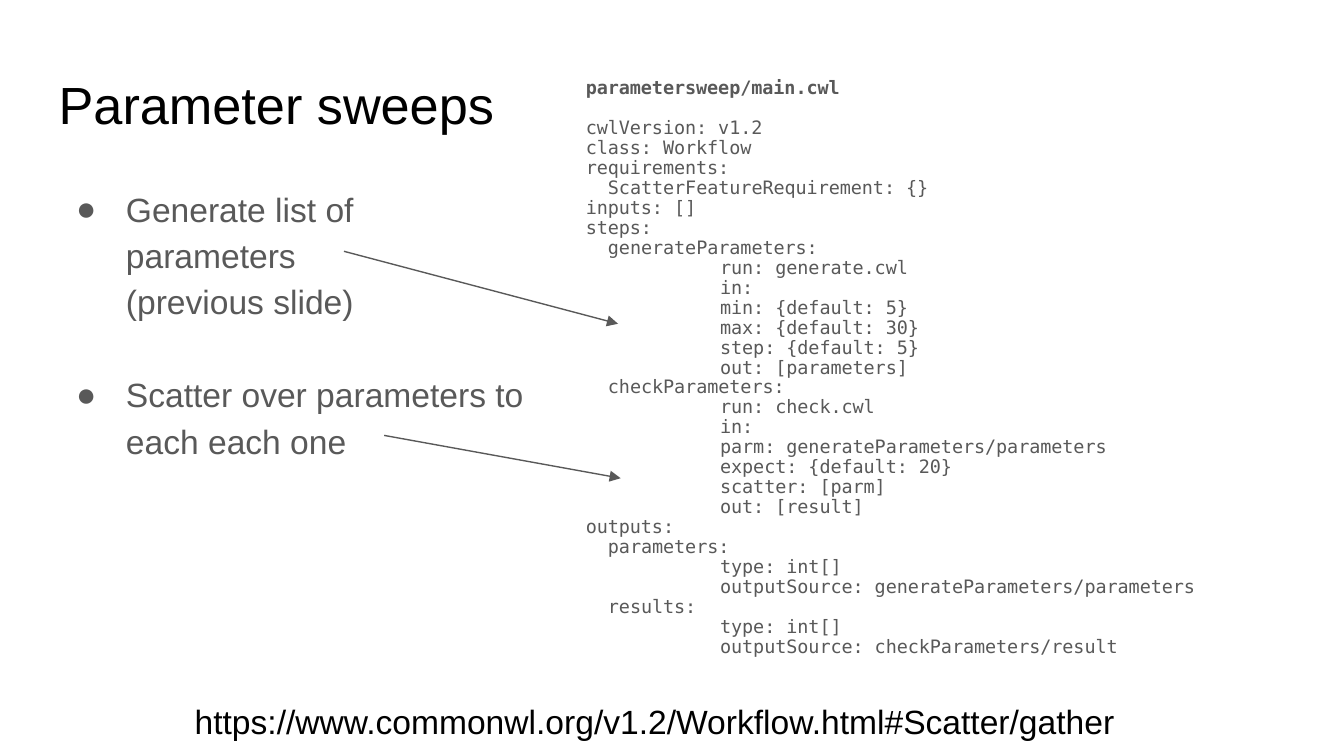
from dataclasses import dataclass

from lxml.etree import SubElement
from pptx import Presentation
from pptx.dml.color import RGBColor
from pptx.enum.shapes import MSO_CONNECTOR
from pptx.enum.text import MSO_ANCHOR, MSO_AUTO_SIZE, PP_ALIGN
from pptx.oxml.ns import qn
from pptx.util import Cm, Pt


@dataclass(frozen=True)
class Theme:
    black: str = "000000"
    gray: str = "595959"
    sans: str = "Arial"
    mono: str = "DejaVu Sans Mono"
    title: float = 28
    body: float = 18
    code: float = 9.9
    line: float = 0.75


POINTS = [
    "Generate list of parameters\v(previous slide)",
    "Scatter over parameters to each each one",
]

# Each code line with its indent level
CODE = [
    (0, "parametersweep/main.cwl"),
    (0, "cwlVersion: v1.2"),
    (0, "class: Workflow"),
    (0, "requirements:"),
    (1, "ScatterFeatureRequirement: {}"),
    (0, "inputs: []"),
    (0, "steps:"),
    (1, "generateParameters:"),
    (2, "run: generate.cwl"),
    (2, "in:"),
    (2, "min: {default: 5}"),
    (2, "max: {default: 30}"),
    (2, "step: {default: 5}"),
    (2, "out: [parameters]"),
    (1, "checkParameters:"),
    (2, "run: check.cwl"),
    (2, "in:"),
    (2, "parm: generateParameters/parameters"),
    (2, "expect: {default: 20}"),
    (2, "scatter: [parm]"),
    (2, "out: [result]"),
    (0, "outputs:"),
    (1, "parameters:"),
    (2, "type: int[]"),
    (2, "outputSource: generateParameters/parameters"),
    (1, "results:"),
    (2, "type: int[]"),
    (2, "outputSource: checkParameters/result"),
]
INDENTS = [0, 0.42, 2.54]

ARROWS = [
    ((6.5, 4.75), (11.68, 6.12)),
    ((7.26, 8.23), (11.73, 9.04)),
]


class Deck:
    def __init__(self, theme):
        self.theme = theme
        self.show = Presentation()
        self.show.slide_width, self.show.slide_height = Cm(25.4), Cm(14.29)
        self.slide = self.show.slides.add_slide(self.show.slide_layouts[3])

    def fill(self, shape, box, lines, font, size, color, space=1.0):
        """Place a shape, write its lines and return the paragraphs."""
        shape.left, shape.top, shape.width, shape.height = map(Cm, box)
        frame = shape.text_frame
        frame.text = "\n".join(lines)
        frame.word_wrap = True
        frame.auto_size = MSO_AUTO_SIZE.NONE
        frame.vertical_anchor = MSO_ANCHOR.TOP
        frame.margin_left = frame.margin_right = Cm(0.25)
        frame.margin_top = frame.margin_bottom = Cm(0.25)
        for para in frame.paragraphs:
            para.alignment = PP_ALIGN.LEFT
            para.line_spacing = space
            para.space_before = para.space_after = Pt(0)
            for run in para.runs:
                run.font.name = font
                run.font.size = Pt(size)
                run.font.color.rgb = RGBColor.from_string(color)
        return frame.paragraphs

    def indent(self, para, left, hang=0, mark=None):
        """Set the indent in centimetres and the bullet, if any."""
        props = para._p.get_or_add_pPr()
        props.set("marL", str(Cm(left)))
        props.set("indent", str(-Cm(hang)))
        if mark:
            tint = SubElement(props, qn("a:buClr"))
            SubElement(tint, qn("a:srgbClr"), val=self.theme.gray)
            SubElement(props, qn("a:buFont"), typeface=self.theme.sans)
            SubElement(props, qn("a:buChar"), char=mark)
        else:
            SubElement(props, qn("a:buNone"))

    def title(self, text, box):
        look = self.theme
        self.fill(self.slide.shapes.title, box, [text],
                  look.sans, look.title, look.black, 0.9)

    def points(self, lines, box):
        look = self.theme
        paras = self.fill(self.slide.placeholders[1], box, lines,
                          look.sans, look.body, look.gray, 1.15)
        for para in paras:
            self.indent(para, 1.27, 0.94, "●")
        for para in paras[:-1]:
            para.space_after = Pt(25)

    def code(self, lines, box):
        look = self.theme
        paras = self.fill(self.slide.placeholders[2], box,
                          [text for _, text in lines],
                          look.mono, look.code, look.gray, 0.9)
        for para, (level, _) in zip(paras, lines):
            self.indent(para, INDENTS[level])
        paras[0].space_after = Pt(10.7)
        paras[0].runs[0].font.bold = True

    def arrow(self, start, end):
        line = self.slide.shapes.add_connector(
            MSO_CONNECTOR.STRAIGHT, *map(Cm, start + end))
        line.line.color.rgb = RGBColor.from_string(self.theme.gray)
        line.line.width = Pt(self.theme.line)
        SubElement(line.line._get_or_add_ln(), qn("a:tailEnd"), type="triangle")
        SubElement(line._element.spPr, qn("a:effectLst"))

    def label(self, text, box):
        look = self.theme
        shape = self.slide.shapes.add_textbox(*map(Cm, box))
        self.fill(shape, box, [text], look.sans, look.body, look.black)

    def save(self):
        self.show.save("out.pptx")


def main():
    deck = Deck(Theme())
    deck.title("Parameter sweeps", (0.86, 1.24, 23.67, 1.6))
    deck.points(POINTS, (0.86, 3.2, 9.42, 9.5))
    deck.code(CODE, (10.82, 1.24, 13.18, 12.45))
    for start, end in ARROWS:
        deck.arrow(start, end)
    deck.label("https://www.commonwl.org/v1.2/Workflow.html#Scatter/gather",
               (3.43, 13, 19.91, 1.27))
    deck.save()


if __name__ == "__main__":
    main()
